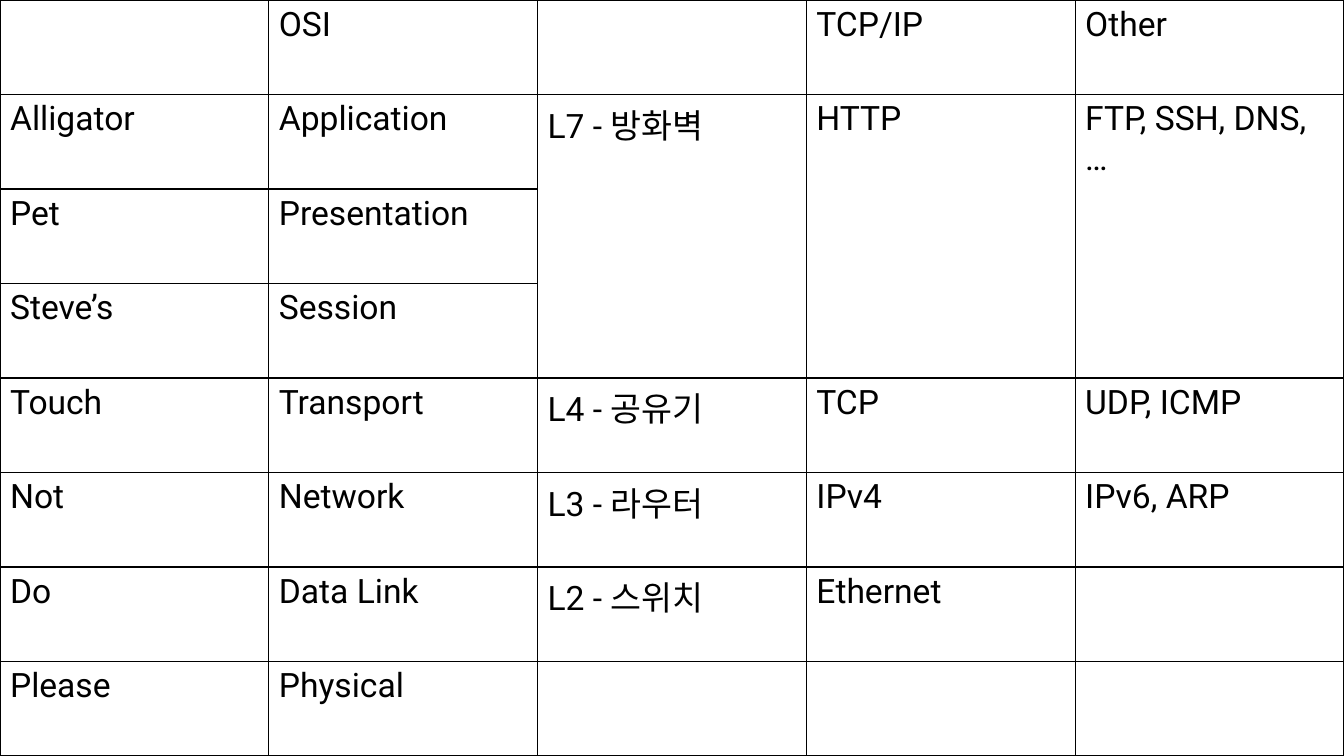
"""Build a slide with a table of OSI layers, devices and protocols."""
from dataclasses import dataclass

from lxml import etree
from pptx import Presentation
from pptx.dml.color import RGBColor
from pptx.oxml.ns import qn
from pptx.table import Table, _Cell
from pptx.util import Inches, Pt

COLORS = {"text": "000000", "border": "000000"}
FONT_NAME = "Roboto"
FONT_SIZE = Pt(24)
BORDER_WIDTH = Pt(1)
SLIDE_WIDTH = Inches(13.33)
SLIDE_HEIGHT = Inches(7.5)
BORDER_TAGS = ("a:lnL", "a:lnR", "a:lnT", "a:lnB")


@dataclass(frozen=True)
class Layer:
    mnemonic: str = ""
    osi: str = ""
    device: str = ""
    protocol: str = ""
    other: str = ""

    def texts(self) -> tuple[str, ...]:
        return self.mnemonic, self.osi, self.device, self.protocol, self.other


LAYERS = (
    Layer(osi="OSI", protocol="TCP/IP", other="Other"),
    Layer("Alligator", "Application", "L7 - 방화벽", "HTTP", "FTP, SSH, DNS, …"),
    Layer("Pet", "Presentation"),
    Layer("Steve’s", "Session"),
    Layer("Touch", "Transport", "L4 - 공유기", "TCP", "UDP, ICMP"),
    Layer("Not", "Network", "L3 - 라우터", "IPv4", "IPv6, ARP"),
    Layer("Do", "Data Link", "L2 - 스위치", "Ethernet"),
    Layer("Please", "Physical"),
)
COLUMN_COUNT = len(LAYERS[0].texts())
MERGED_COLUMNS = (2, 3, 4)
MERGED_ROWS = (1, 3)


def add_borders(cell: _Cell) -> None:
    properties = cell._tc.get_or_add_tcPr()
    for tag in BORDER_TAGS:
        line = etree.SubElement(properties, qn(tag), w=str(int(BORDER_WIDTH)))
        fill = etree.SubElement(line, qn("a:solidFill"))
        etree.SubElement(fill, qn("a:srgbClr"), val=COLORS["border"])


def write_cell(cell: _Cell, text: str) -> None:
    add_borders(cell)
    cell.fill.background()
    if text:
        run = cell.text_frame.paragraphs[0].add_run()
        run.text = text
        run.font.name = FONT_NAME
        run.font.size = FONT_SIZE
        run.font.color.rgb = RGBColor.from_string(COLORS["text"])


def fill_table(table: Table) -> None:
    table.first_row = False
    table.horz_banding = False
    for row_index, layer in enumerate(LAYERS):
        for column_index, text in enumerate(layer.texts()):
            write_cell(table.cell(row_index, column_index), text)
    first_row, last_row = MERGED_ROWS
    for column_index in MERGED_COLUMNS:
        table.cell(first_row, column_index).merge(table.cell(last_row, column_index))


def main() -> None:
    presentation = Presentation()
    presentation.slide_width = SLIDE_WIDTH
    presentation.slide_height = SLIDE_HEIGHT
    slide = presentation.slides.add_slide(presentation.slide_layouts[6])
    frame = slide.shapes.add_table(
        len(LAYERS), COLUMN_COUNT, Inches(0), Inches(0), SLIDE_WIDTH, SLIDE_HEIGHT
    )
    fill_table(frame.table)
    presentation.save("out.pptx")


if __name__ == "__main__":
    main()
